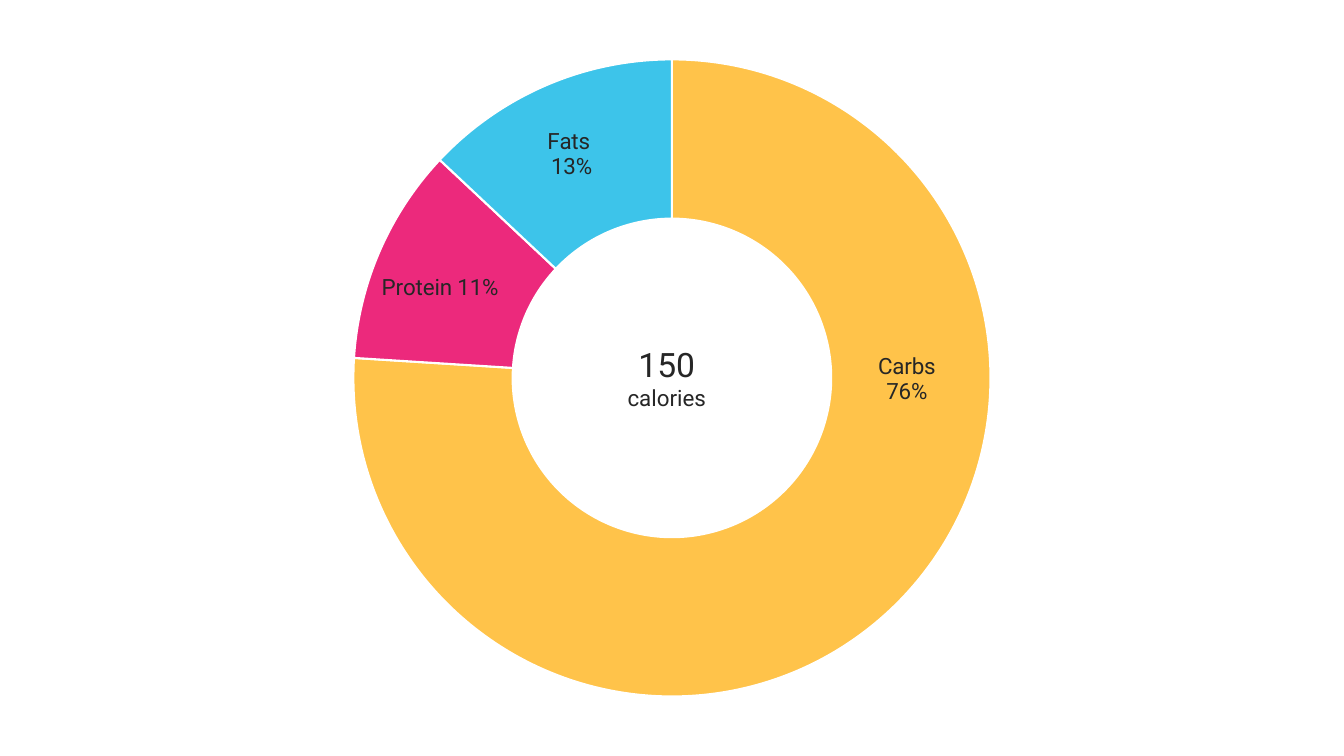
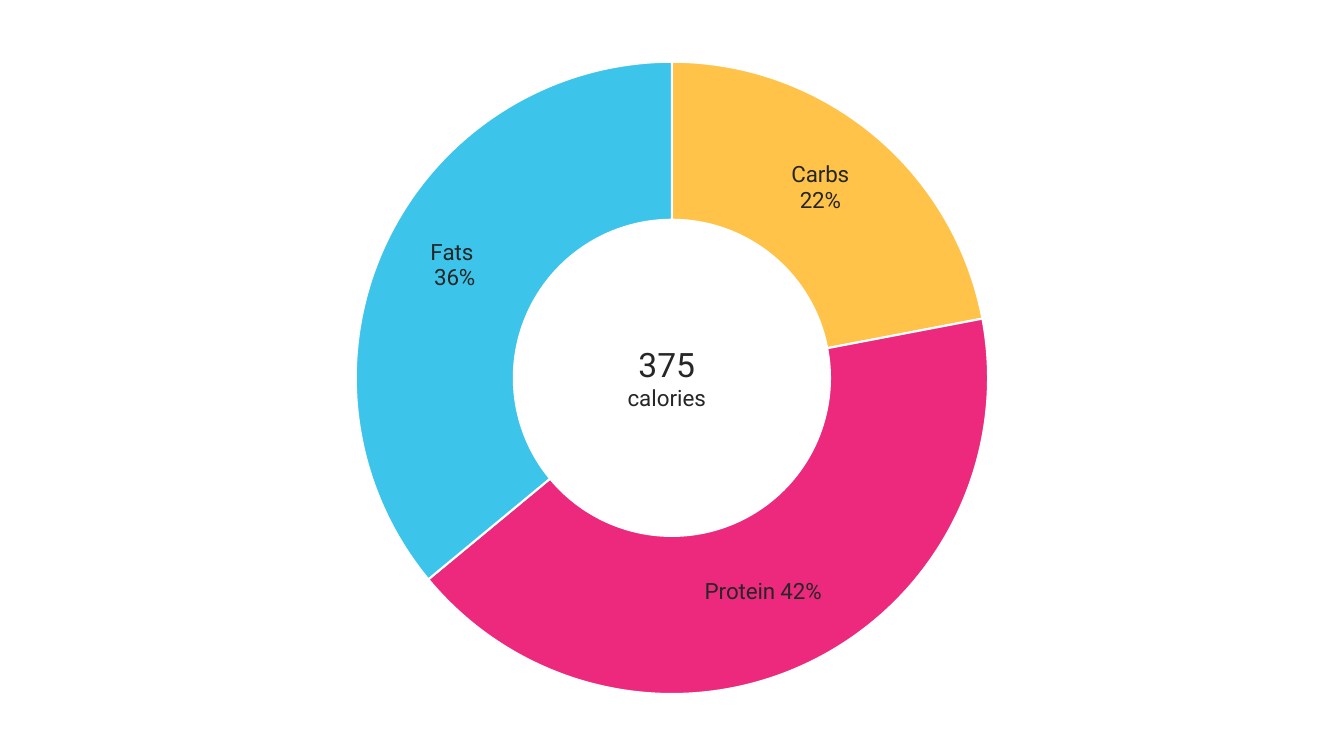
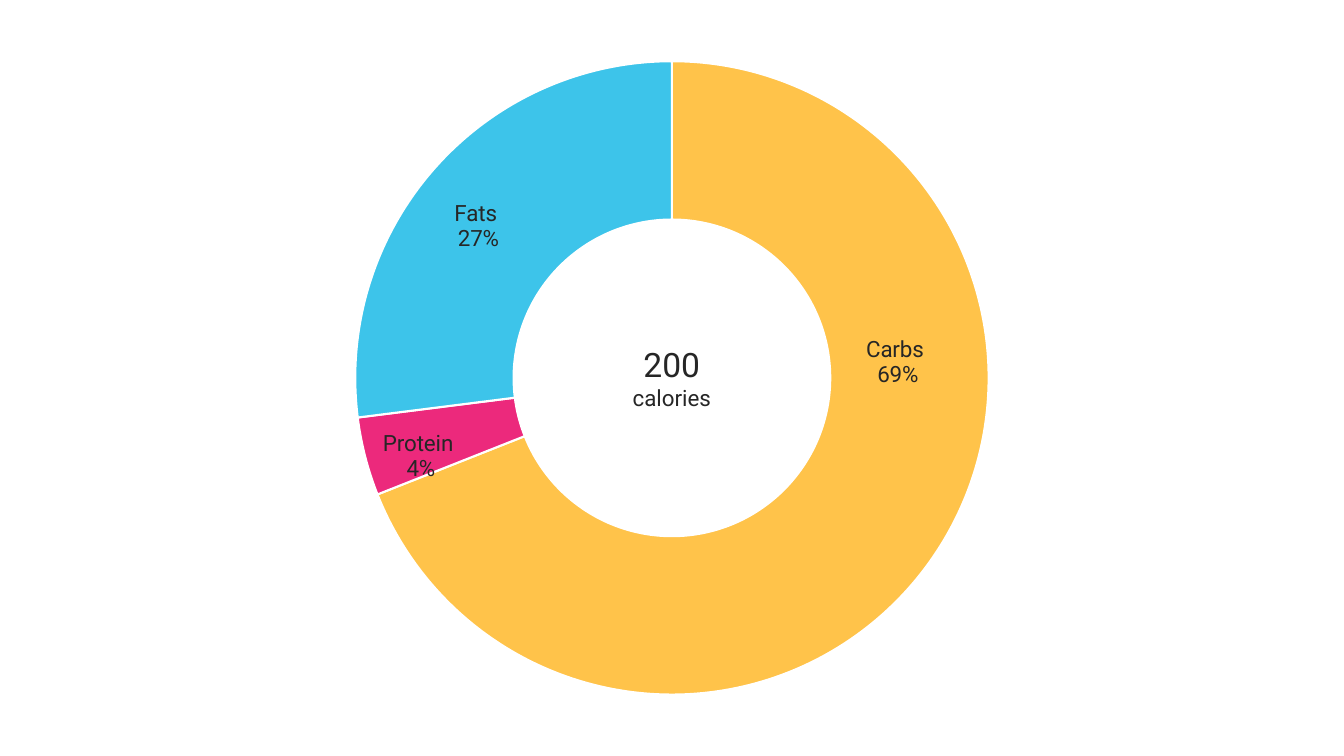
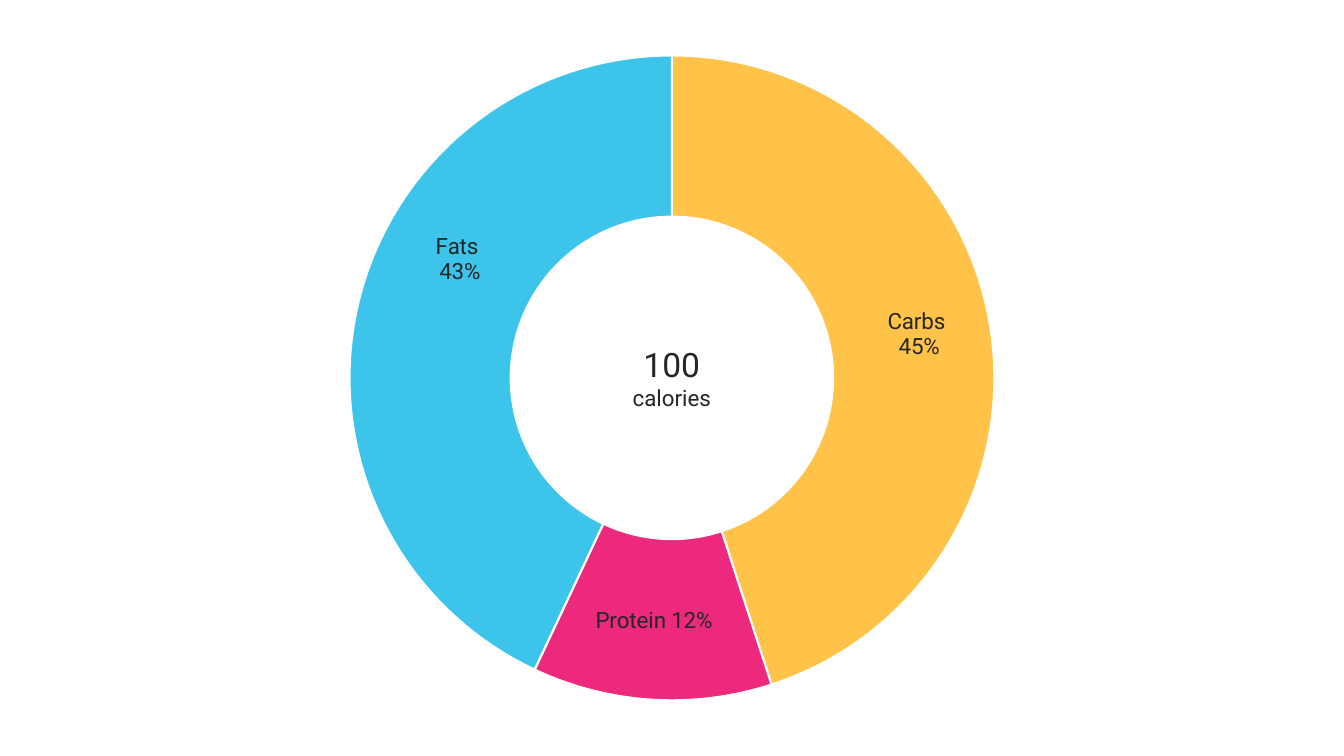
from lxml.etree import SubElement
from pptx import Presentation
from pptx.chart.data import CategoryChartData
from pptx.dml.color import RGBColor
from pptx.enum.chart import XL_CHART_TYPE
from pptx.enum.text import MSO_AUTO_SIZE, PP_ALIGN
from pptx.oxml import parse_xml
from pptx.oxml.ns import nsdecls, qn
from pptx.util import Pt

COLORS = {"text": "262626", "gap": "FFFFFF",
          "Carbs": "FFC34A", "Protein": "EC297C", "Fats": "3DC4EA"}
NUTRIENTS = ["Carbs", "Protein", "Fats"]
FONT = "Roboto"
SLIDE_W, SLIDE_H = 960, 540
RING_SHARE = 0.955  # ring diameter as a share of the chart width

# calories, chart width, left of the centre text,
# then per nutrient: share, label lines, label shift from the slice middle
MEALS = [
    ("150", 476.6, 435.6, [(0.76, ["Carbs", "76%"], (51, -123)),
                           (0.11, ["Protein 11%"], (-9, 4)),
                           (0.13, ["Fats ", "13%"], (-4, -3))]),
    ("375", 473, 435.6, [(0.22, ["Carbs", "22%"], (-2, -5)),
                         (0.42, ["Protein 42%"], (-7, 0)),
                         (0.36, ["Fats ", "36%"], (-2, -8))]),
    ("200", 473.8, 439.2, [(0.69, ["Carbs ", "69%"], (21, -106)),
                           (0.04, ["Protein", " 4%"], (-17, 14)),
                           (0.27, ["Fats ", "27%"], (-11, 4))]),
    ("100", 482.4, 439.2, [(0.45, ["Carbs ", "45%"], (6, -4)),
                           (0.12, ["Protein 12%"], (-2, 1)),
                           (0.43, ["Fats ", "43%"], (17, -47))]),
]


def style(font, size):
    font.name = FONT
    font.size = Pt(size)
    font.color.rgb = RGBColor.from_string(COLORS["text"])


def manual_layout(**settings):
    layout = parse_xml(f"<c:layout {nsdecls('c')}><c:manualLayout/></c:layout>")
    for tag, value in settings.items():
        SubElement(layout[0], qn(f"c:{tag}")).set("val", str(value))
    return layout


prs = Presentation()
prs.slide_width, prs.slide_height = Pt(SLIDE_W), Pt(SLIDE_H)

for calories, chart_w, total_left, slices in MEALS:
    slide = prs.slides.add_slide(prs.slide_layouts[6])

    # Ring of nutrient shares
    shares = CategoryChartData(number_format="0%")
    shares.categories = NUTRIENTS
    shares.add_series("Series 1", [share for share, _, _ in slices])
    ring = slide.shapes.add_chart(
        XL_CHART_TYPE.DOUGHNUT, Pt((SLIDE_W - chart_w) / 2), Pt(0),
        Pt(chart_w), Pt(SLIDE_H), shares).chart
    ring.has_legend = False
    ring.has_title = False
    style(ring.font, 10)

    # Ring centred in the chart
    ring_h = RING_SHARE * chart_w / SLIDE_H
    plot_area = ring._chartSpace.find(".//" + qn("c:plotArea"))
    for old_layout in plot_area.findall(qn("c:layout")):
        plot_area.remove(old_layout)
    plot_area.insert(0, manual_layout(
        layoutTarget="inner", xMode="edge", yMode="edge",
        x=round((1 - RING_SHARE) / 2, 4), y=round((1 - ring_h) / 2, 4),
        w=RING_SHARE, h=round(ring_h, 4)))

    ring.plots[0].vary_by_categories = True
    series = ring.plots[0].series[0]
    labels = series.data_labels
    labels.show_value = True
    labels.show_category_name = True
    labels.number_format = "0%"
    labels.number_format_is_linked = False
    style(labels.font, 12)

    # Slices and their labels
    for index, (nutrient, (_, lines, _)) in enumerate(zip(NUTRIENTS, slices)):
        point = series.points[index]
        point.format.fill.solid()
        point.format.fill.fore_color.rgb = RGBColor.from_string(COLORS[nutrient])
        point.format.line.color.rgb = RGBColor.from_string(COLORS["gap"])
        point.format.line.width = Pt(1.5)
        label = point.data_label.text_frame
        for number, line in enumerate(lines):
            paragraph = label.add_paragraph() if number else label.paragraphs[0]
            run = paragraph.add_run()
            run.text = line
            style(run.font, 16)

    # Label shifts, without leader lines
    for leader in series._element.iter(qn("c:showLeaderLines")):
        leader.set("val", "0")
    for label_xml, (_, _, (dx, dy)) in zip(series._element.iter(qn("c:dLbl")), slices):
        for old_layout in label_xml.findall(qn("c:layout")):
            label_xml.remove(old_layout)
        label_xml.find(qn("c:idx")).addnext(manual_layout(
            x=round(dx / chart_w, 4), y=round(dy / SLIDE_H, 4)))

    # Calorie total in the hole
    total = slide.shapes.add_textbox(
        Pt(total_left), Pt(241.9), Pt(81.4), Pt(55.4)).text_frame
    total.word_wrap = False
    total.auto_size = MSO_AUTO_SIZE.SHAPE_TO_FIT_TEXT
    for number, (words, size) in enumerate([(calories, 24), ("calories", 16)]):
        paragraph = total.add_paragraph() if number else total.paragraphs[0]
        paragraph.alignment = PP_ALIGN.CENTER
        run = paragraph.add_run()
        run.text = words
        style(run.font, size)

prs.save("out.pptx")
